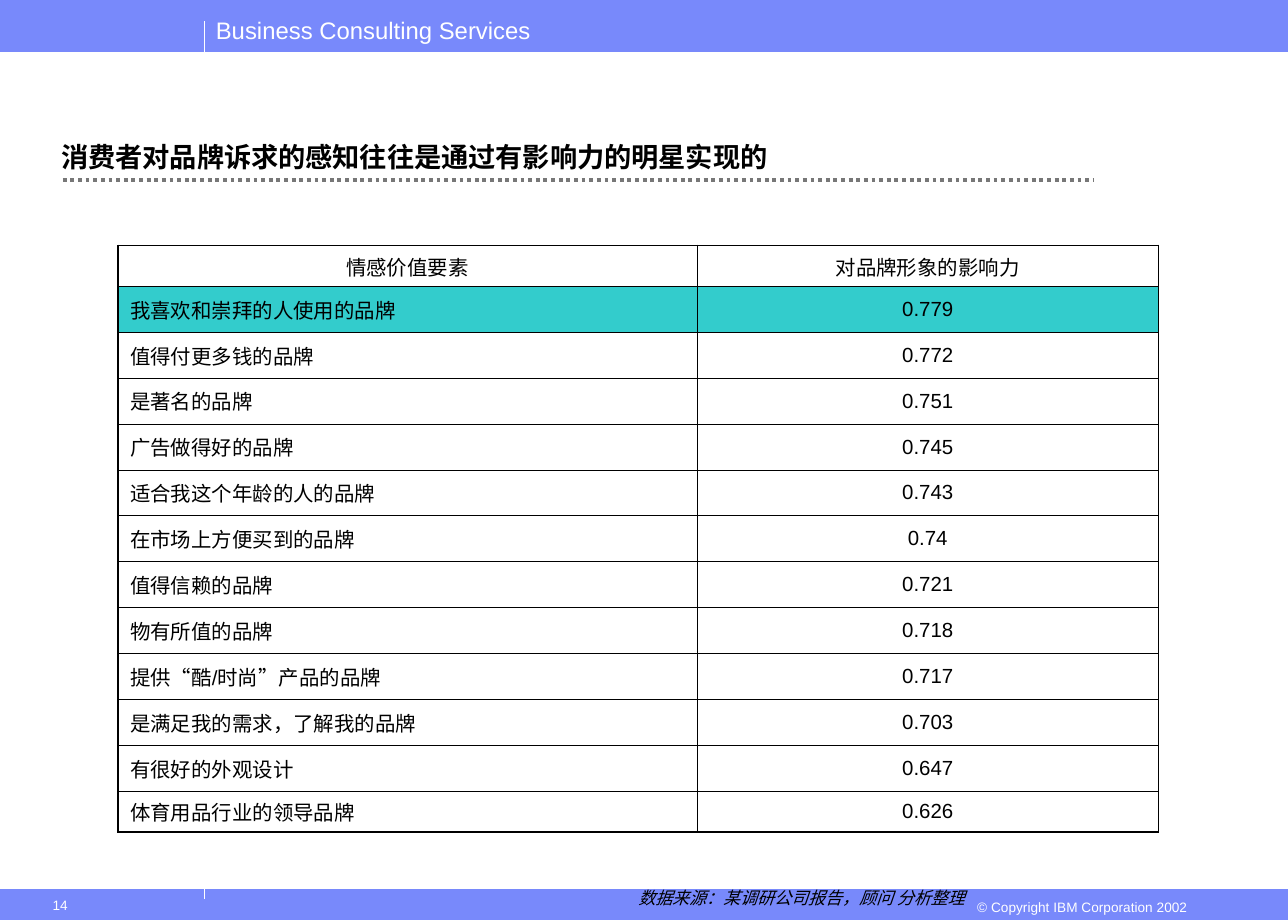
from lxml import etree
from pptx import Presentation
from pptx.dml.color import RGBColor
from pptx.enum.dml import MSO_LINE_DASH_STYLE as Dash
from pptx.enum.shapes import MSO_CONNECTOR as Connector, MSO_SHAPE as Shape
from pptx.enum.text import MSO_ANCHOR as Anchor, PP_ALIGN as Align
from pptx.oxml.ns import qn
from pptx.util import Cm, Pt

BLUE = RGBColor(0x78, 0x89, 0xFB)
TEAL = RGBColor(0x33, 0xCC, 0xCC)
GREY = RGBColor(0x77, 0x77, 0x77)
WHITE = RGBColor(0xFF, 0xFF, 0xFF)
BLACK = RGBColor(0, 0, 0)
THIN, THICK = Pt(0.45), Pt(1.08)


def write(para, text, align, color, **formats):
    para.alignment = align
    span = para.add_run()
    span.text = text
    span.font.color.rgb = color
    for name, value in {"name": "Arial", **formats}.items():
        setattr(span.font, name, value)


def draw_borders(cell, widths):
    properties = cell._tc.get_or_add_tcPr()
    for place, (side, width) in enumerate(widths.items()):
        line = etree.Element(qn(f"a:ln{side}"), w=str(width))
        fill = etree.SubElement(line, qn("a:solidFill"))
        etree.SubElement(fill, qn("a:srgbClr"), val=str(BLACK))
        properties.insert(place, line)


deck = Presentation()
deck.slide_width, deck.slide_height = Cm(26.67), Cm(19.05)
page = deck.slides.add_slide(deck.slide_layouts[6])

# Header and footer bands
for top, height in [(0, 1.07), (18.42, 0.63)]:
    band = page.shapes.add_shape(Shape.RECTANGLE, 0, Cm(top), deck.slide_width, Cm(height))
    band.shadow.inherit = False
    band.fill.solid()
    band.fill.fore_color.rgb = BLUE
    band.line.color.rgb = BLUE
    band.line.width = Pt(0.75)

# Title rule and band dividers
rules = [
    (1.3, 3.73, 22.66, 3.73, GREY, 2.25, Dash.ROUND_DOT),
    (4.24, 1.07, 4.24, 0.43, WHITE, 0.75, Dash.SOLID),
    (4.24, 18.62, 4.24, 17.98, WHITE, 0.75, Dash.SOLID),
]
for x1, y1, x2, y2, color, width, dash in rules:
    rule = page.shapes.add_connector(Connector.STRAIGHT, Cm(x1), Cm(y1), Cm(x2), Cm(y2))
    rule.line.color.rgb = color
    rule.line.width = Pt(width)
    rule.line.dash_style = dash
    etree.SubElement(rule._element.spPr, qn("a:effectLst"))

# Title, band texts, source and page number
texts = [
    ("Business Consulting Services", (4.22, 0.2, 7.04, 0.86), Anchor.TOP, False,
     Align.LEFT, WHITE, {"size": Pt(14)}),
    ("© Copyright IBM Corporation 2002", (19.89, 18.49, 4.95, 0.61), Anchor.TOP, True,
     Align.RIGHT, WHITE, {"size": Pt(8)}),
    ("消费者对品牌诉求的感知往往是通过有影响力的明星实现的", (1.02, 1.68, 21.59, 2.03),
     Anchor.BOTTOM, True, Align.LEFT, BLACK, {"size": Pt(16), "bold": True}),
    ("数据来源：某调研公司报告，顾问 分析整理", (12.85, 18.26, 7.49, 0.69), Anchor.TOP, False,
     Align.CENTER, BLACK, {"size": Pt(10), "italic": True}),
    ("14", (0.84, 18.44, 3.38, 0.61), Anchor.TOP, True,
     Align.LEFT, WHITE, {"size": Pt(8)}),
]
for text, place, anchor, wrap, align, color, formats in texts:
    box = page.shapes.add_textbox(*map(Cm, place))
    box.text_frame.word_wrap = wrap
    box.text_frame.vertical_anchor = anchor
    write(box.text_frame.paragraphs[0], text, align, color, **formats)

# Table of emotional value factors
factors = [
    ("情感价值要素", "对品牌形象的影响力"),
    ("我喜欢和崇拜的人使用的品牌", "0.779"),
    ("值得付更多钱的品牌", "0.772"),
    ("是著名的品牌", "0.751"),
    ("广告做得好的品牌", "0.745"),
    ("适合我这个年龄的人的品牌", "0.743"),
    ("在市场上方便买到的品牌", "0.74"),
    ("值得信赖的品牌", "0.721"),
    ("物有所值的品牌", "0.718"),
    ("提供“酷/时尚”产品的品牌", "0.717"),
    ("是满足我的需求，了解我的品牌", "0.703"),
    ("有很好的外观设计", "0.647"),
    ("体育用品行业的领导品牌", "0.626"),
]
last = len(factors) - 1
table = page.shapes.add_table(len(factors), 2, Cm(2.44), Cm(5.08), Cm(21.55), Cm(12.15)).table
table.first_row = table.horz_banding = False
table.columns[0].width, table.columns[1].width = Cm(11.99), Cm(9.56)

for r, factor in enumerate(factors):
    table.rows[r].height = Cm(0.85 if r in (0, last) else 0.95)
    for c, text in enumerate(factor):
        cell = table.cell(r, c)
        cell.vertical_anchor = Anchor.MIDDLE
        if r == 1:
            cell.fill.solid()
            cell.fill.fore_color.rgb = TEAL
        else:
            cell.fill.background()
        align = Align.CENTER if r == 0 or c == 1 else Align.LEFT
        write(cell.text_frame.paragraphs[0], text, align, BLACK, size=Pt(12))
        draw_borders(cell, {
            "L": THICK if c == 0 else THIN,
            "R": THICK if c == 1 else THIN,
            "T": THICK if r == 0 else THIN,
            "B": THICK if r == last else THIN,
        })

deck.save("out.pptx")
